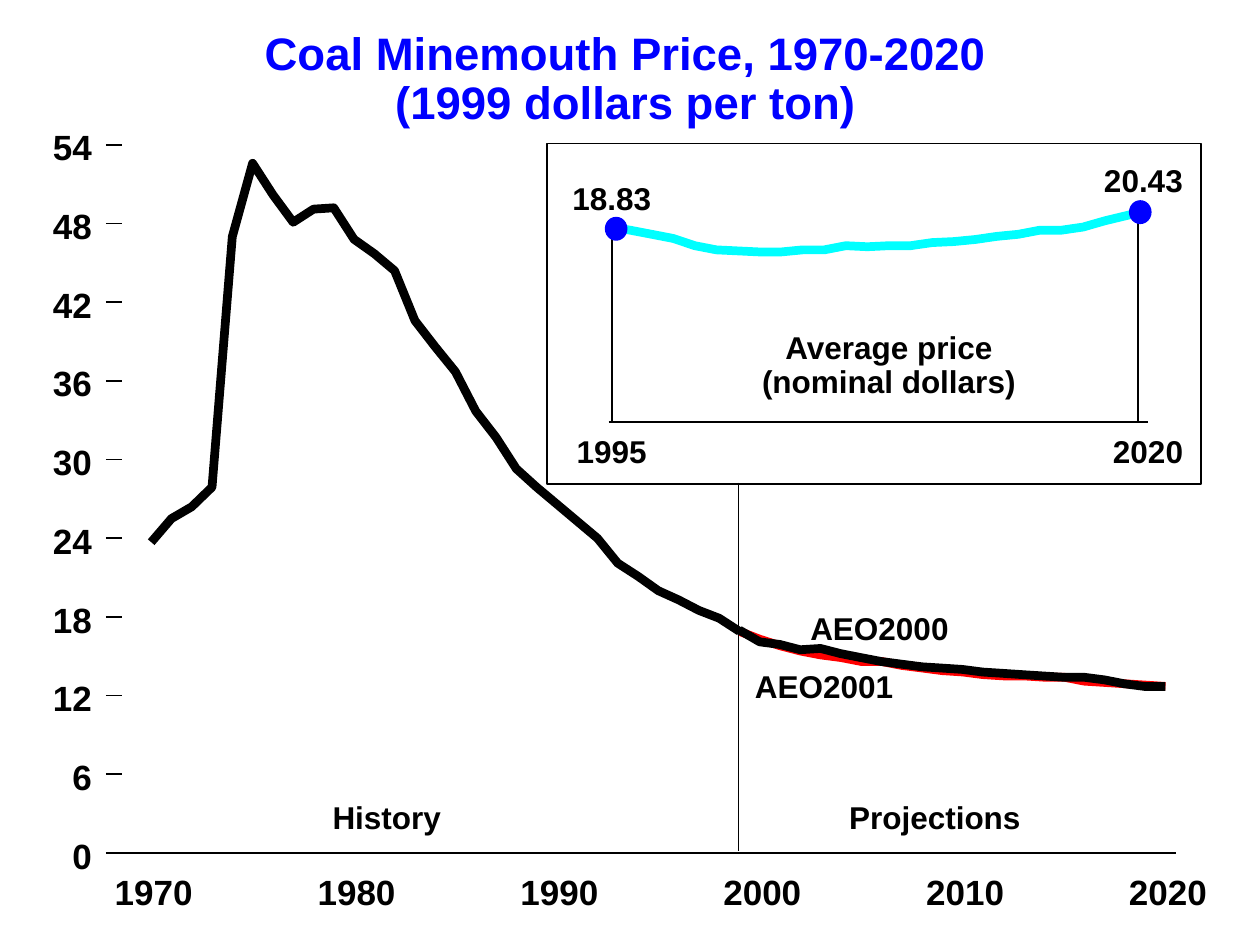
from collections import namedtuple

import pptx
import pptx.dml.color
import pptx.enum.shapes
import pptx.enum.text
import pptx.oxml
import pptx.util
from pptx.util import Inches

COLORS = {"title": "0000FF", "ink": "000000", "aeo2001": "FF0000",
          "nominal": "00FFFF", "dot": "0000FF"}
FONT = "Arial"
ALIGN = pptx.enum.text.PP_ALIGN
Box = namedtuple("Box", "left top width height")

# Price in 1999 dollars per ton, one value a year
HISTORY = [23.7, 25.5, 26.4, 27.9, 47.0, 52.6, 50.2, 48.1, 49.1, 49.2,
           46.8, 45.7, 44.4, 40.6, 38.6, 36.7, 33.7, 31.7, 29.3, 27.9,
           26.6, 25.3, 24.0, 22.1, 21.1, 20.0, 19.3, 18.5, 17.9, 16.9]
AEO2001 = [16.9, 16.3, 15.8, 15.4, 15.1, 14.9, 14.6, 14.6, 14.3, 14.1, 13.9,
           13.8, 13.6, 13.5, 13.5, 13.4, 13.4, 13.1, 13.0, 12.9, 12.8, 12.7]
AEO2000 = [17.0, 16.1, 15.9, 15.5, 15.6, 15.2, 14.9, 14.6, 14.4, 14.2, 14.1,
           14.0, 13.8, 13.7, 13.6, 13.5, 13.4, 13.4, 13.2, 12.9, 12.7, 12.7]
# Nominal dollars per ton, 1995 to 2020
NOMINAL = [18.83, 18.5, 18.1, 17.7, 17.0, 16.6, 16.5, 16.4, 16.4, 16.6, 16.6,
           17.0, 16.9, 17.0, 17.0, 17.3, 17.4, 17.6, 17.9, 18.1, 18.5, 18.5,
           18.8, 19.4, 19.9, 20.43]


def rgb(name):
    return pptx.dml.color.RGBColor.from_string(COLORS[name])


def fill_text(shape, lines, size, color, align, spacing=None):
    frame = shape.text_frame
    frame.margin_left = frame.margin_right = 0
    frame.margin_top = frame.margin_bottom = 0
    frame.word_wrap = False
    frame.auto_size = pptx.enum.text.MSO_AUTO_SIZE.NONE
    frame.vertical_anchor = pptx.enum.text.MSO_ANCHOR.TOP
    for index, line in enumerate(lines):
        para = frame.add_paragraph() if index else frame.paragraphs[0]
        para.alignment = align
        if spacing:
            para.line_spacing = spacing
        span = para.add_run()
        span.text = line
        span.font.name = FONT
        span.font.size = pptx.util.Pt(size)
        span.font.bold = True
        span.font.color.rgb = rgb(color)


def add_label(page, box, lines, size=18, align=ALIGN.CENTER, spacing=None):
    shape = page.shapes.add_textbox(*map(Inches, box))
    fill_text(shape, lines, size, "ink", align, spacing)


def add_line(page, x1, y1, x2, y2, weight=1):
    line = page.shapes.add_connector(
        pptx.enum.shapes.MSO_CONNECTOR.STRAIGHT, *map(Inches, (x1, y1, x2, y2)))
    line.line.color.rgb = rgb("ink")
    line.line.width = pptx.util.Pt(weight)
    properties = line._element.spPr
    properties.append(pptx.oxml.parse_xml(
        '<a:effectLst xmlns:a="http://schemas.openxmlformats.org/drawingml/2006/main"/>'))


def add_curve(page, left, base, step, scale, values, color):
    """Draw yearly values as a line rising from base, scale inches a dollar."""
    points = [(Inches(left + index * step), Inches(base - value * scale))
              for index, value in enumerate(values)]
    builder = page.shapes.build_freeform(*points[0])
    builder.add_line_segments(points[1:], close=False)
    curve = builder.convert_to_shape()
    curve.shadow.inherit = False
    curve.fill.background()
    curve.line.color.rgb = rgb(color)
    curve.line.width = pptx.util.Pt(5)


def add_title(page, box):
    title = page.shapes.title
    title.left, title.top, title.width, title.height = map(Inches, box)
    fill_text(title, ["Coal Minemouth Price, 1970-2020", "(1999 dollars per ton)"],
              26, "title", ALIGN.CENTER, 0.9)


def add_price_plot(page, box):
    base = box.top + box.height
    right = box.left + box.width
    scale = box.height / 54
    step = box.width / 50
    split = box.left + 29 * step

    add_curve(page, split, base, step, scale, AEO2001, "aeo2001")
    add_curve(page, split, base, step, scale, AEO2000, "ink")
    add_curve(page, box.left, base, step, scale, HISTORY, "ink")

    for price in range(0, 55, 6):
        level = base - price * scale
        add_line(page, box.left - 0.36, level, box.left - 0.23, level)
        add_label(page, (box.left - 0.78, level - 0.15, 0.31, 0.33),
                  [str(price)], 20, ALIGN.RIGHT)
    add_line(page, box.left - 0.23, base, right + 0.08, base)
    for year in range(1970, 2021, 10):
        center = box.left + 0.02 + (year - 1970) * step
        add_label(page, (center - 0.31, base + 0.14, 0.62, 0.33), [str(year)], 20)

    for text, x, y, width in (("History", 1.44, 0.44, 0.86),
                              ("Projections", 5.54, 0.44, 1.36),
                              ("AEO2001", 4.79, 1.48, 1.1),
                              ("AEO2000", 5.23, 1.94, 1.1)):
        add_label(page, (box.left + x, base - y, width, 0.3), [text])
    add_line(page, split - 0.01, base - 2.94, split - 0.01, base - 0.02, 0.75)


def add_nominal_inset(page, box):
    left, base = box.left + 0.49, box.top + 2.21
    width, scale = 4.28, 0.0823
    add_curve(page, left, base, width / (len(NOMINAL) - 1), scale, NOMINAL, "nominal")
    add_line(page, left, base, left + width, base)

    # year, price, label left, price label top, dot centre, drop line
    ends = ((1995, NOMINAL[0], 0.2, 0.28, 0.55, 0.52),
            (2020, NOMINAL[-1], 4.42, 0.14, 4.71, 4.69))
    for year, price, label, label_top, center, drop in ends:
        level = base - price * scale
        add_line(page, box.left + drop, base, box.left + drop, level)
        dot = page.shapes.add_shape(
            pptx.enum.shapes.MSO_SHAPE.OVAL, Inches(box.left + center - 0.09),
            Inches(level - 0.08), Inches(0.18), Inches(0.19))
        dot.shadow.inherit = False
        dot.fill.solid()
        dot.fill.fore_color.rgb = rgb("dot")
        dot.line.fill.background()
        add_label(page, (box.left + label, box.top + 2.29, 0.63, 0.3), [str(year)],
                  align=ALIGN.CENTER if year == 1995 else ALIGN.RIGHT)
        add_label(page, (box.left + label, box.top + label_top, 0.63, 0.3),
                  [f"{price:.2f}"])

    frame = page.shapes.add_shape(
        pptx.enum.shapes.MSO_SHAPE.RECTANGLE, *map(Inches, box))
    frame.shadow.inherit = False
    frame.fill.background()
    frame.line.color.rgb = rgb("ink")
    frame.line.width = pptx.util.Pt(1)
    add_label(page, (box.left + 1.71, box.top + 1.5, 2.01, 0.54),
              ["Average price", "(nominal dollars)"], spacing=0.9)


def main():
    deck = pptx.Presentation()
    deck.slide_width, deck.slide_height = Inches(10), Inches(7.5)
    page = deck.slides.add_slide(deck.slide_layouts.get_by_name("Title Only"))
    add_title(page, Box(2.1, 0.25, 5.73, 0.78))
    add_price_plot(page, Box(1.2, 1.15, 8.05, 5.62))
    add_nominal_inset(page, Box(4.34, 1.14, 5.19, 2.7))
    deck.save("out.pptx")


if __name__ == "__main__":
    main()
